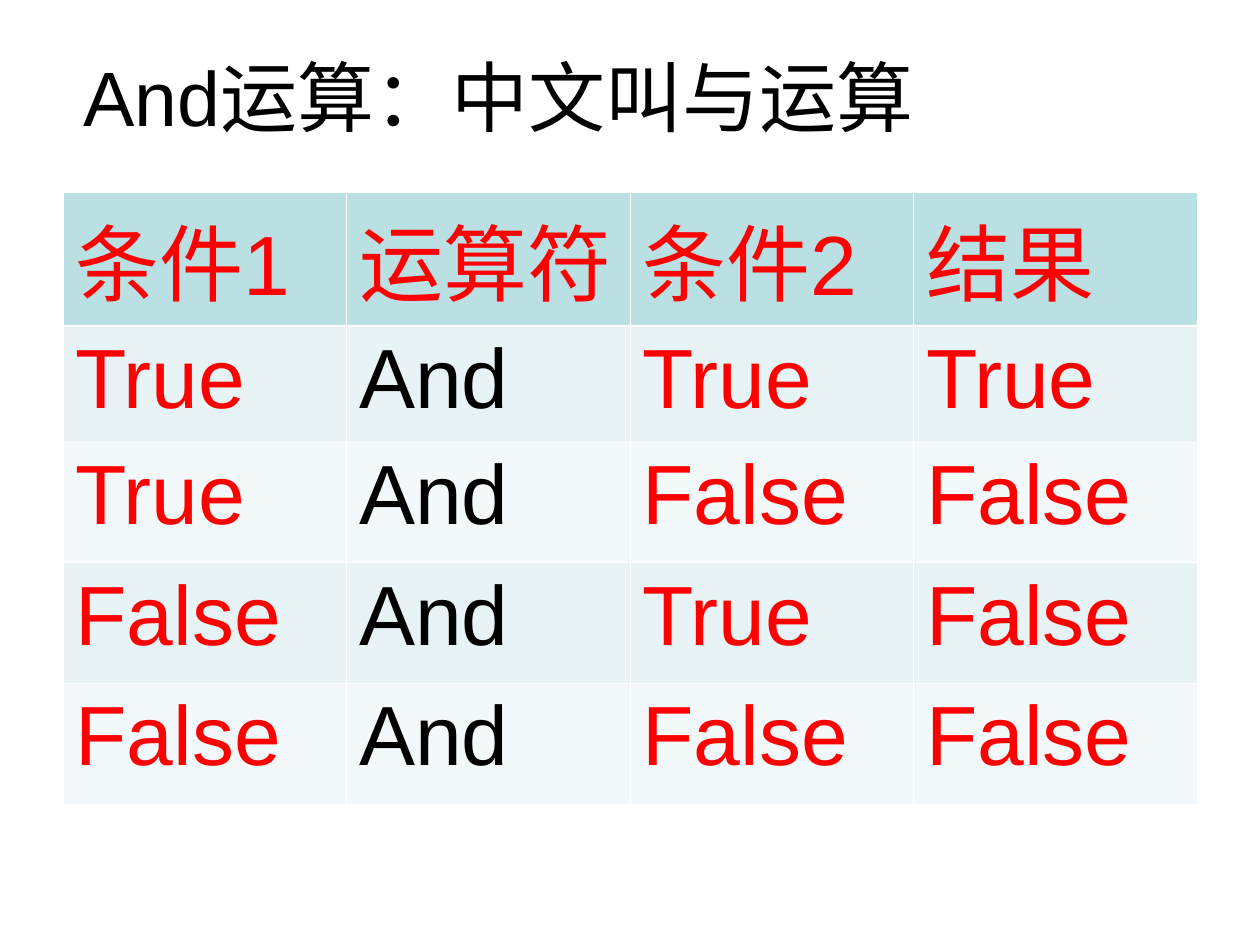
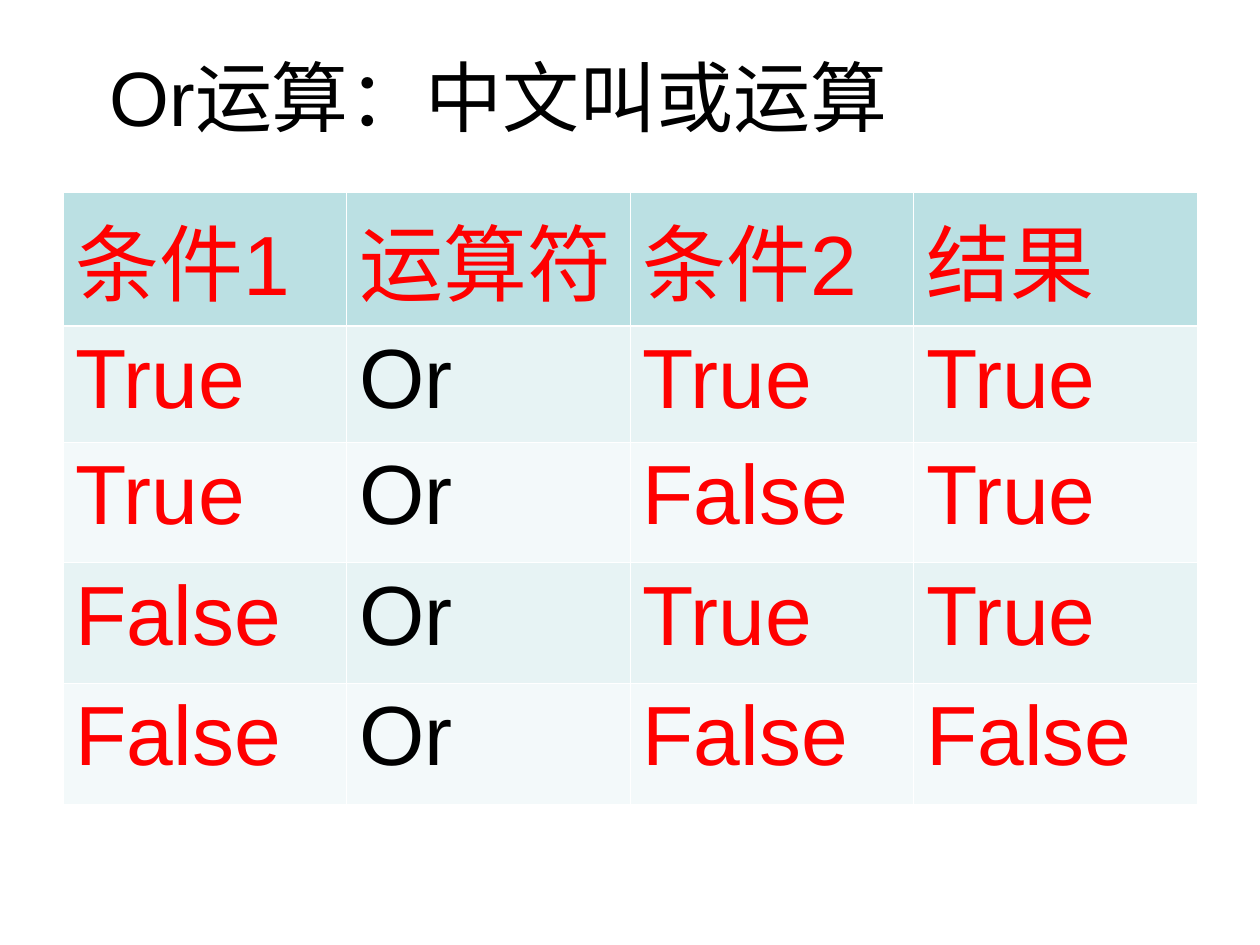
from dataclasses import dataclass
from itertools import product

from lxml import etree
from pptx import Presentation
from pptx.dml.color import RGBColor
from pptx.enum.text import MSO_ANCHOR, MSO_AUTO_SIZE, PP_ALIGN
from pptx.oxml.ns import qn
from pptx.util import Cm, Pt

MIDDLE = MSO_ANCHOR.MIDDLE
NO_AUTOFIT = MSO_AUTO_SIZE.NONE
CENTER = PP_ALIGN.CENTER
TITLE_ONLY = 5


@dataclass(frozen=True)
class Theme:
    font: str = "Arial"
    title_size: float = 44
    table_size: float = 48
    ink: str = "000000"
    accent: str = "FF0000"
    header_fill: str = "BBE0E3"
    band_fills: tuple = ("E7F3F4", "F3F9FA")
    rule: str = "FFFFFF"
    thin_rule: float = 0.45
    thick_rule: float = 1.47


HEADINGS = ("条件1", "运算符", "条件2", "结果")
OPERATOR_COLUMN = HEADINGS.index("运算符")
ROW_HEIGHTS = (2.43, 2.34, 2.43, 2.43, 2.43)
OPERATIONS = (
    ("And", "And运算：中文叫与运算", all),
    ("Or", "Or运算：中文叫或运算", any),
)


def apply(target, **values):
    for attribute, value in values.items():
        setattr(target, attribute, value)


class Deck:
    def __init__(self, theme):
        self.theme = theme
        self.presentation = Presentation()
        apply(self.presentation, slide_width=Cm(25.4), slide_height=Cm(19.05))
        self.slide = None

    def format_font(self, paragraph, size, color):
        apply(paragraph.font, name=self.theme.font, size=Pt(size), bold=False)
        paragraph.font.color.rgb = RGBColor.from_string(color)

    def add_slide(self, heading):
        layout = self.presentation.slide_layouts[TITLE_ONLY]
        self.slide = self.presentation.slides.add_slide(layout)
        title = self.slide.shapes.title
        apply(title, left=Cm(-1.37), top=Cm(0.28), width=Cm(22.86), height=Cm(3.28))
        frame = title.text_frame
        apply(frame, text=heading, word_wrap=True, auto_size=NO_AUTOFIT,
              vertical_anchor=MIDDLE)
        frame.paragraphs[0].alignment = CENTER
        self.format_font(frame.paragraphs[0], self.theme.title_size, self.theme.ink)

    def add_borders(self, cell, top, bottom):
        """Draw the four cell rules; they must stand before the fill."""
        properties = cell._tc.get_or_add_tcPr()
        thin = self.theme.thin_rule
        widths = {"a:lnL": thin, "a:lnR": thin, "a:lnT": top, "a:lnB": bottom}
        for position, (tag, width) in enumerate(widths.items()):
            line = etree.Element(qn(tag), w=str(int(Pt(width))))
            fill = etree.SubElement(line, qn("a:solidFill"))
            etree.SubElement(fill, qn("a:srgbClr"), val=self.theme.rule)
            properties.insert(position, line)

    def add_cell(self, cell, text, row, column):
        theme = self.theme
        is_header = row == 0
        fill = theme.header_fill if is_header else theme.band_fills[(row - 1) % 2]
        is_operator = column == OPERATOR_COLUMN and not is_header
        cell.text = text
        self.format_font(cell.text_frame.paragraphs[0], theme.table_size,
                         theme.ink if is_operator else theme.accent)
        cell.fill.solid()
        cell.fill.fore_color.rgb = RGBColor.from_string(fill)
        self.add_borders(cell,
                         top=theme.thick_rule if row == 1 else theme.thin_rule,
                         bottom=theme.thick_rule if is_header else theme.thin_rule)

    def add_table(self, rows):
        table = self.slide.shapes.add_table(
            len(rows), len(HEADINGS), Cm(1.27), Cm(3.87), Cm(22.86),
            Cm(sum(ROW_HEIGHTS))).table
        for row, (texts, height) in enumerate(zip(rows, ROW_HEIGHTS)):
            table.rows[row].height = Cm(height)
            for column, text in enumerate(texts):
                self.add_cell(table.cell(row, column), text, row, column)


def truth_table(operator, combine):
    cases = product((True, False), repeat=2)
    return [HEADINGS] + [(str(first), operator, str(second), str(combine((first, second))))
                         for first, second in cases]


def main():
    deck = Deck(Theme())
    for operator, heading, combine in OPERATIONS:
        deck.add_slide(heading)
        deck.add_table(truth_table(operator, combine))
    deck.presentation.save("out.pptx")


if __name__ == "__main__":
    main()
